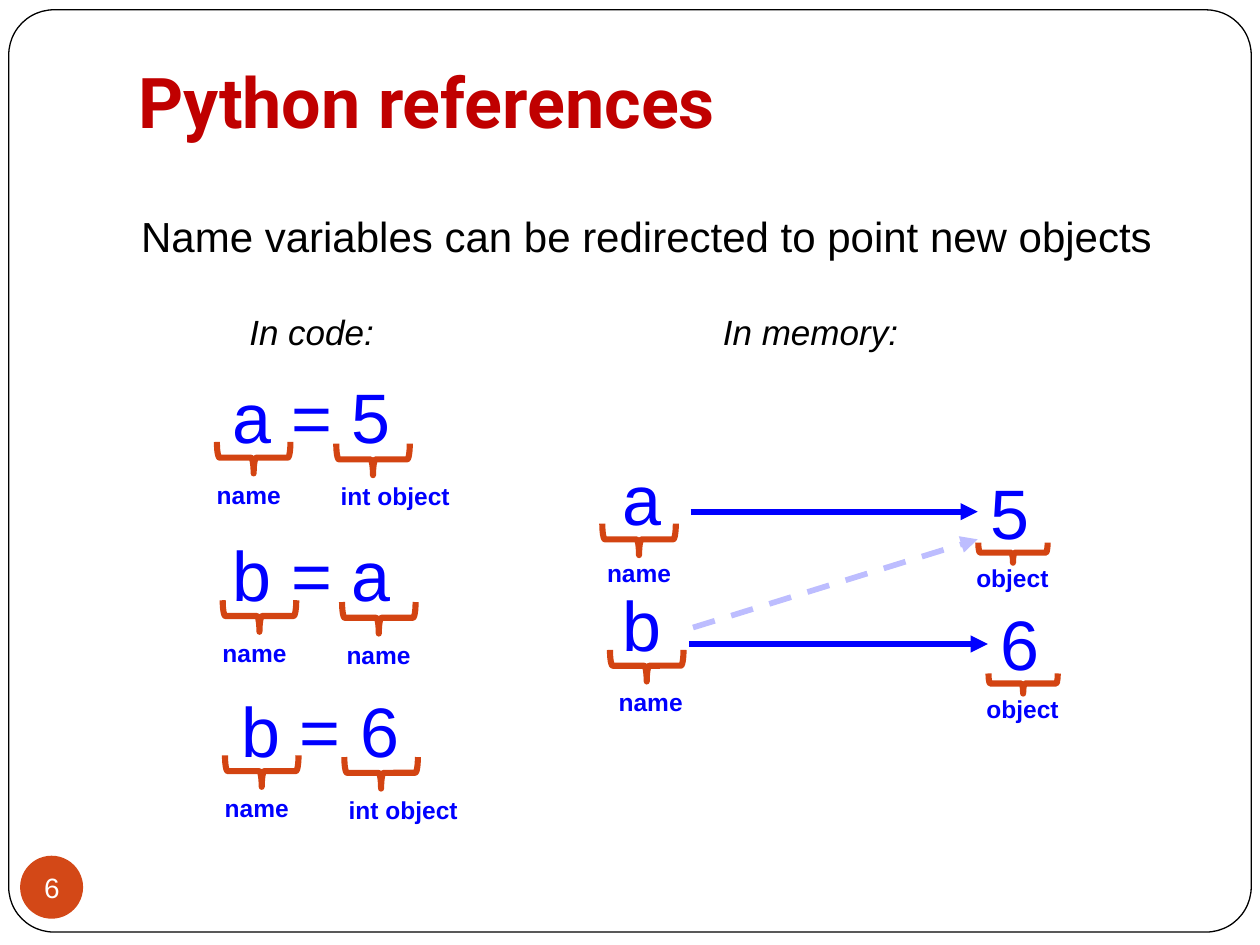
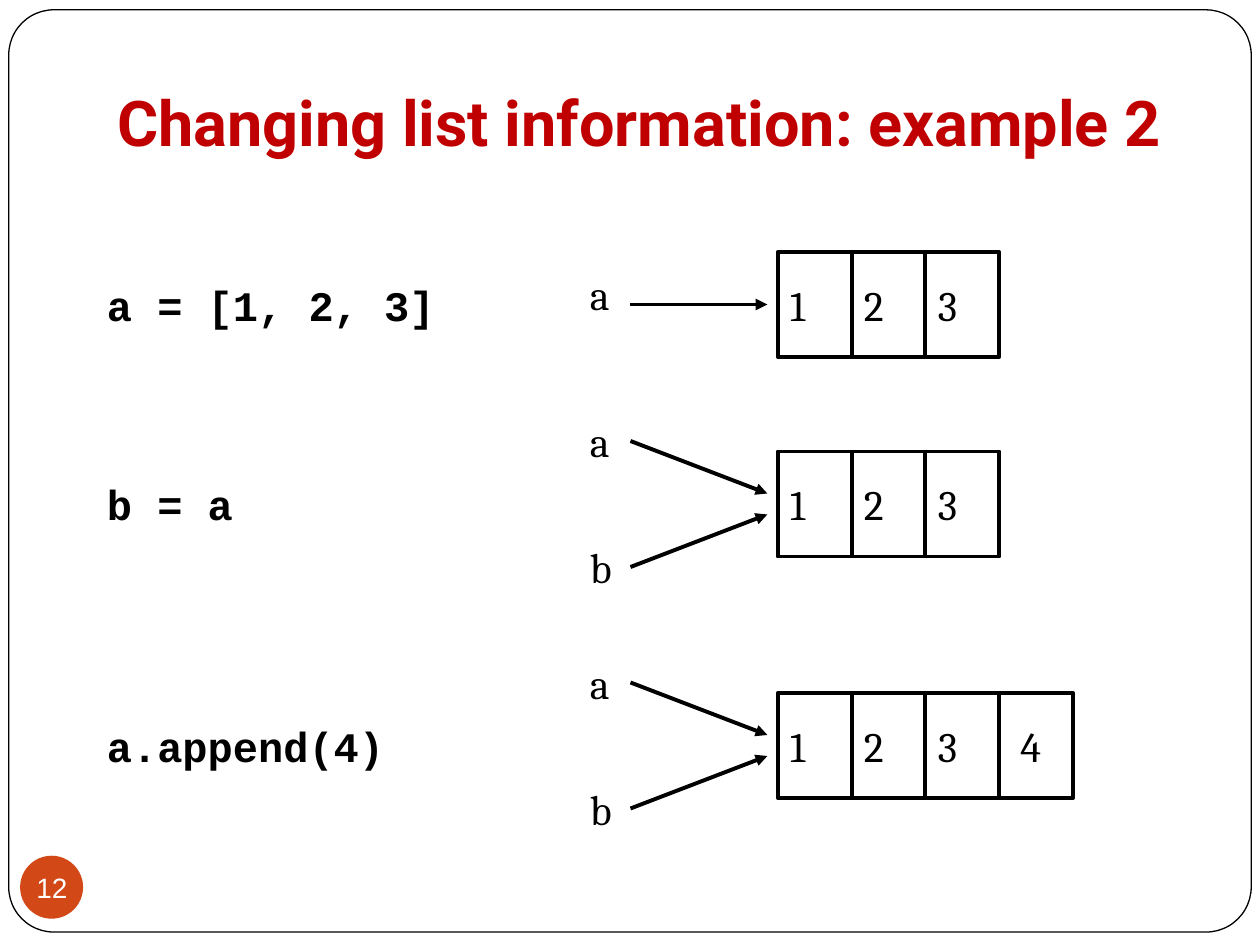
import pptx
import pptx.util
import pptx.dml.color
import pptx.enum.dml
import pptx.enum.shapes
import pptx.enum.text
import pptx.oxml
from lxml import etree

Pt = pptx.util.Pt
RGB = pptx.dml.color.RGBColor.from_string
SHAPE = pptx.enum.shapes.MSO_SHAPE
ANCHOR = pptx.enum.text.MSO_ANCHOR
ALIGN = pptx.enum.text.PP_ALIGN
DASH = pptx.enum.dml.MSO_LINE
QN = pptx.oxml.ns.qn

COLORS = {
    "paper": "FFFFFF",
    "ink": "000000",
    "title": "C00000",
    "code": "0000FF",
    "brace": "D34412",
    "badge": "D34817",
}


def add_text(page, frame, words, size, font="Arial", color="ink", bold=False,
             italic=False, wrap=False, anchor=ANCHOR.TOP, align=ALIGN.LEFT, bottom=3.6):
    """Put one line of formatted text in a box given as left, top, width, height."""
    box = page.shapes.add_textbox(*[Pt(value) for value in frame])
    text = box.text_frame
    text.word_wrap = wrap
    text.vertical_anchor = anchor
    text.margin_bottom = Pt(bottom)
    para = text.paragraphs[0]
    para.text = words
    para.alignment = align
    span = para.runs[0].font
    span.name, span.size = font, Pt(size)
    span.bold, span.italic = bold, italic
    span.color.rgb = RGB(COLORS[color])


def add_arrow(page, start, end, color, width, faded=False):
    """Draw a straight arrow; a faded one is dashed and see-through."""
    arrow = page.shapes.add_connector(
        pptx.enum.shapes.MSO_CONNECTOR.STRAIGHT, *[Pt(value) for value in start + end])
    arrow.line.color.rgb = RGB(COLORS[color])
    arrow.line.width = Pt(width)
    stroke = arrow.line._get_or_add_ln()
    if faded:
        arrow.line.dash_style = DASH.DASH
        tint = stroke.find(".//" + QN("a:srgbClr"))
        etree.SubElement(tint, QN("a:alpha"), val="26000")
    etree.SubElement(stroke, QN("a:tailEnd"), type="triangle")
    etree.SubElement(arrow._element.spPr, QN("a:effectLst"))


deck = pptx.Presentation()
deck.slide_width, deck.slide_height = Pt(720), Pt(540)

# Shared frame, page badge and title
titles = [
    ("6", "Python references", 40, (72, 21.6, 612, 67)),
    ("12", "Changing list information: example 2", 36, (59.8, 8, 612, 90)),
]
pages = []
for number, title, size, frame in titles:
    page = deck.slides.add_slide(deck.slide_layouts[6])
    pages.append(page)

    border = page.shapes.add_shape(SHAPE.ROUNDED_RECTANGLE, Pt(5), Pt(5.6), Pt(710), Pt(527))
    border.adjustments[0] = 0.049
    border.shadow.inherit = False
    border.fill.solid()
    border.fill.fore_color.rgb = RGB(COLORS["paper"])
    border.line.color.rgb = RGB(COLORS["ink"])
    border.line.width = Pt(0.75)

    badge = page.shapes.add_shape(SHAPE.OVAL, Pt(11.5), Pt(489), Pt(36), Pt(36))
    badge.shadow.inherit = False
    badge.fill.solid()
    badge.fill.fore_color.rgb = RGB(COLORS["badge"])
    badge.line.fill.background()
    add_text(page, (5.6, 489, 48, 36), number, 16, color="paper",
             anchor=ANCHOR.MIDDLE, align=ALIGN.CENTER)

    add_text(page, frame, title, size, "Roboto", "title", bold=True, wrap=True,
             anchor=ANCHOR.BOTTOM, bottom=7.2)

references, lists = pages

# References: statements in code, and names pointing at objects in memory
add_text(references, (73.6, 116.6, 612, 360),
         "Name variables can be redirected to point new objects", 24, wrap=True)
add_text(references, (135.4, 174, 86.4, 32), "In code:", 20, italic=True)
add_text(references, (406, 174, 115.2, 32), "In memory:", 20, italic=True)

# Each brace: left, top, width, height before turning, label, label offset
braces = []
statements = [
    ("a = 5", 126, 210.2, 136, 240.5, "int object"),
    ("b = a", 126, 300.2, 139.3, 331, "name"),
    ("b = 6", 131, 389.5, 140.6, 419.6, "int object"),
]
for code, left, top, brace_left, brace_top, value_label in statements:
    add_text(references, (left, top, 105.8, 55.4), code, 40, color="code")
    braces.append((brace_left, brace_top, 18, 42, "name", -19.3, 30))
    braces.append((brace_left + 68.2, brace_top + 1, 18, 42, value_label, -16.6, 30))

memory = [
    ("a", 348.5, 257, 36.7, (356.2, 287.2, 18, 42, "name", -16.4, 28.2)),
    ("b", 348.5, 329, 36.7, (360.6, 359.4, 18, 42, "name", -14.2, 29.4)),
    ("5", 558.7, 265, 49.7, (573.1, 296, 11.5, 39.6, "object", -22.3, 22.3)),
    ("6", 564.5, 339.8, 49.7, (578.9, 370.8, 11.5, 39.6, "object", -22.3, 22.3)),
]
for symbol, left, top, width, brace in memory:
    add_text(references, (left, top, width, 55.4), symbol, 40, color="code", wrap=True)
    braces.append(brace)

label_widths = {"name": 51, "object": 56, "int object": 77}
for left, top, width, height, label, shift_x, shift_y in braces:
    brace = references.shapes.add_shape(
        SHAPE.LEFT_BRACE, Pt(left), Pt(top), Pt(width), Pt(height))
    brace.rotation = 270
    brace.shadow.inherit = False
    brace.fill.background()
    brace.line.color.rgb = RGB(COLORS["brace"])
    brace.line.width = Pt(3.5)
    add_text(references, (left + shift_x, top + shift_y, label_widths[label], 24.2),
             label, 14, color="code", bold=True)

add_arrow(references, (394.6, 292.4), (558.7, 292.4), "code", 3.25)
add_arrow(references, (396, 358.6), (558.7, 308.2), "code", 3.25, faded=True)
add_arrow(references, (394, 368), (564.5, 368), "code", 3.25)

# Lists: each step shows its code, the names and the list cells
# Each name: symbol, text top, arrow start and arrow end, measured from the cell top
single = [("a", 6, 30, 30)]
shared = [("a", -24, -6, 24), ("b", 48, 66, 36)]
steps = [
    ("a = [1, 2, 3]", 144, single, "123"),
    ("b = a", 258, shared, "123"),
    ("a.append(4)", 396, shared, "1234"),
]
cell_width, cell_height = 42.2, 60
for code, top, names, values in steps:
    add_text(lists, (54, top + 12, 210, 36), code, 24, "Courier New", bold=True)
    for symbol, text_top, start, end in names:
        add_text(lists, (330, top + text_top, 25, 36), symbol, 24, "Cambria")
        add_arrow(lists, (360.3, top + start), (438.5, top + end), "ink", 2.25)
    for index, value in enumerate(values):
        cell = lists.shapes.add_shape(
            SHAPE.RECTANGLE, Pt(444.4 + index * cell_width), Pt(top),
            Pt(cell_width), Pt(cell_height))
        cell.shadow.inherit = False
        cell.fill.background()
        cell.line.color.rgb = RGB(COLORS["ink"])
        cell.line.width = Pt(2.25)
        cell.text_frame.text = value
        cell.text_frame.vertical_anchor = ANCHOR.MIDDLE
        cell.text_frame.margin_left = Pt(12 if value == "4" else 7.2)
        para = cell.text_frame.paragraphs[0]
        para.alignment = ALIGN.LEFT
        span = para.runs[0].font
        span.name, span.size = "Cambria", Pt(24)
        span.color.rgb = RGB(COLORS["ink"])

deck.save("out.pptx")
